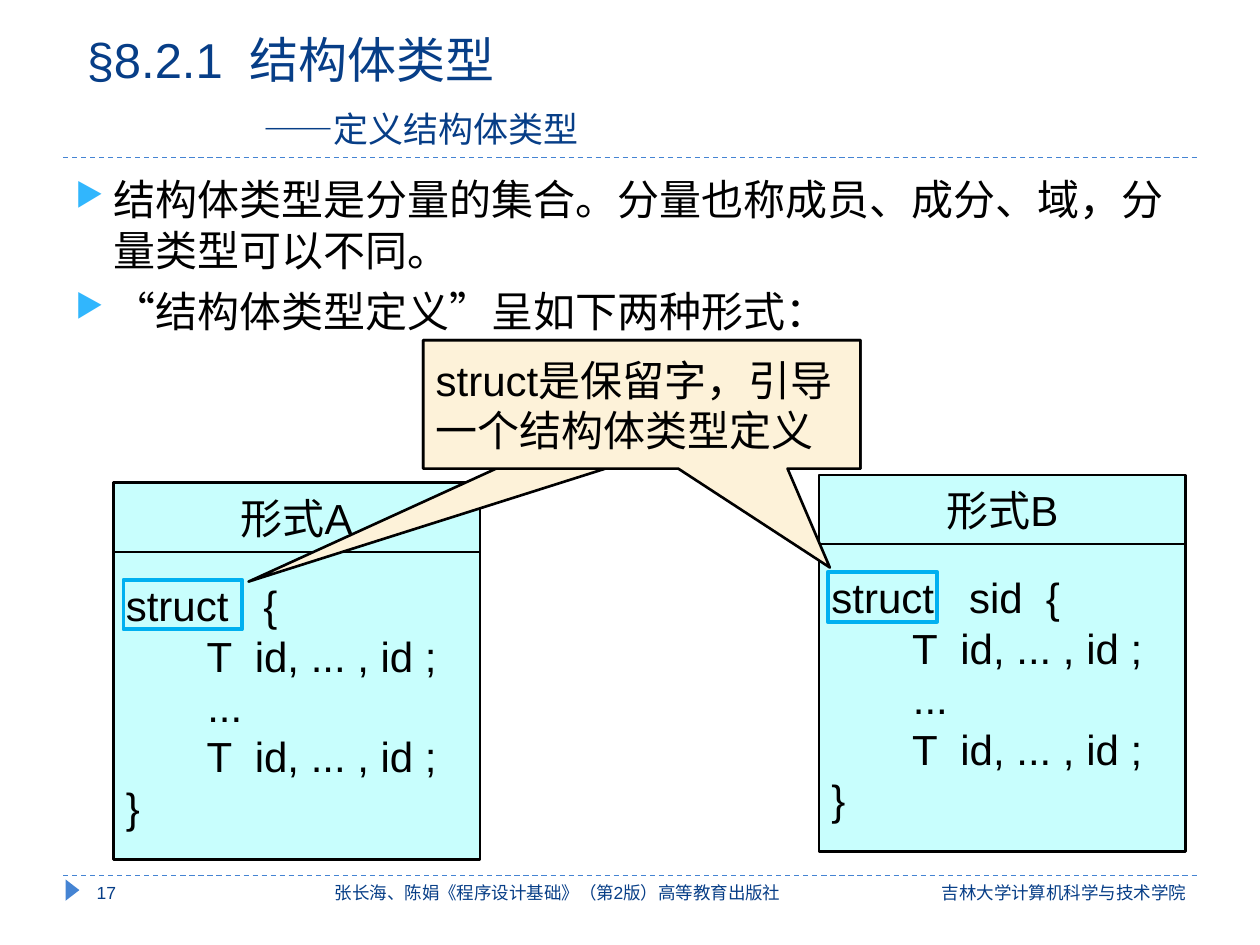
from dataclasses import dataclass

from lxml import etree
from pptx import Presentation
from pptx import util as u
from pptx.dml.color import RGBColor
from pptx.enum import dml, shapes, text
from pptx.oxml.ns import qn

NAVY = RGBColor(0x07, 0x3E, 0x87)
BLUE = RGBColor(0x45, 0x84, 0xD3)
SKY = RGBColor(0x31, 0xB6, 0xFD)
CYAN = RGBColor(0x00, 0xB0, 0xF0)
AQUA = RGBColor(0xC8, 0xFE, 0xFD)
CREAM = RGBColor(0xFD, 0xF2, 0xD9)
BLACK = RGBColor(0, 0, 0)
RECTANGLE = shapes.MSO_SHAPE.RECTANGLE
CALLOUT = shapes.MSO_SHAPE.RECTANGULAR_CALLOUT
LEFT, CENTER, RIGHT = text.PP_ALIGN.LEFT, text.PP_ALIGN.CENTER, text.PP_ALIGN.RIGHT
TOP, MIDDLE, BOTTOM = text.MSO_ANCHOR.TOP, text.MSO_ANCHOR.MIDDLE, text.MSO_ANCHOR.BOTTOM

FORM_WIDTH, HEADER_HEIGHT, BODY_HEIGHT = 209.5, 39.6, 175.7
CALLOUT_AREA = (241.9, 194.4, 249.8, 73.4)


@dataclass(frozen=True)
class Form:
    """One of the two ways to define a structure type."""
    heading: str
    opening: str
    left: float
    top: float
    keyword_left: float
    keyword_width: float


@dataclass(frozen=True)
class Footer:
    """A piece of footer text."""
    words: str
    left: float
    width: float
    align: text.PP_ALIGN


FORMS = (
    Form("形式B", "struct   sid  {", 468, 271.4, 473, 62.6),
    Form("形式A", "struct   {", 64.8, 275.8, 70.6, 67.7),
)
FOOTERS = (
    Footer("吉林大学计算机科学与技术学院", 507.6, 177.1, RIGHT),
    Footer("张长海、陈娟《程序设计基础》（第2版）高等教育出版社", 133.2, 370.8, CENTER),
    Footer("17", 48.2, 79.2, LEFT),
)
MEMBERS = ("       T  id, ... , id ;", "       ...", "       T  id, ... , id ;", "}")
POINTS = (
    "结构体类型是分量的集合。分量也称成员、成分、域，分量类型可以不同。",
    "“结构体类型定义”呈如下两种形式：",
)


def write(box, lines, size=24, color=BLACK, align=LEFT, anchor=MIDDLE,
          gap=0, bulleted=False) -> list:
    """Fill a box with paragraphs and return them."""
    frame = box.text_frame
    frame.word_wrap = True
    frame.vertical_anchor = anchor
    paras = []
    for index, line in enumerate(lines):
        para = frame.paragraphs[0] if index == 0 else frame.add_paragraph()
        para.alignment = align
        if index:
            para.space_before = u.Pt(gap)
        if bulleted:
            add_bullet(para)
        span = para.add_run()
        span.text = line
        span.font.name = "Arial"
        span.font.size = u.Pt(size)
        span.font.color.rgb = color
        paras.append(para)
    return paras


def add_bullet(para) -> None:
    """Give a paragraph a hanging triangular bullet."""
    props = para._p.get_or_add_pPr()
    props.set("marL", str(u.Pt(21.6)))
    props.set("indent", str(u.Pt(-21.6)))
    tint = etree.SubElement(props, qn("a:buClr"))
    etree.SubElement(tint, qn("a:srgbClr"), val=str(SKY))
    etree.SubElement(props, qn("a:buSzPct"), val="76000")
    etree.SubElement(props, qn("a:buChar"), char="▶")


def add_text(page, area: tuple, lines, **style) -> list:
    """Add a text box and return its paragraphs."""
    return write(page.shapes.add_textbox(*map(u.Pt, area)), lines, **style)


def add_box(page, kind, area: tuple, fill=None, line=None, width=1.5):
    """Add a flat preset shape."""
    box = page.shapes.add_shape(kind, *map(u.Pt, area))
    box.shadow.inherit = False
    if fill is None:
        box.fill.background()
    else:
        box.fill.solid()
        box.fill.fore_color.rgb = fill
    if line is None:
        box.line.fill.background()
    else:
        box.line.color.rgb = line
        box.line.width = u.Pt(width)
    return box


def add_rule(page, top: float) -> None:
    """Add a dashed line across the page."""
    rule = page.shapes.add_connector(
        shapes.MSO_CONNECTOR.STRAIGHT, u.Pt(36), u.Pt(top), u.Pt(684), u.Pt(top))
    rule.line.color.rgb = BLUE
    rule.line.width = u.Pt(0.75)
    rule.line.dash_style = dml.MSO_LINE.DASH
    etree.SubElement(rule._element.spPr, qn("a:effectLst"))


def add_form(page, form: Form) -> None:
    """Add a heading box above its code box, with the keyword framed."""
    body_top = form.top + HEADER_HEIGHT
    body = add_box(page, RECTANGLE, (form.left, body_top, FORM_WIDTH, BODY_HEIGHT), AQUA, BLACK)
    write(body, (form.opening, *MEMBERS))
    header = add_box(page, RECTANGLE, (form.left, form.top, FORM_WIDTH, HEADER_HEIGHT), AQUA, BLACK)
    write(header, (form.heading,), align=CENTER)
    add_box(page, RECTANGLE, (form.keyword_left, body_top + 15.9, form.keyword_width, 28.4),
            line=CYAN, width=2.25)


def add_callout(page, tip: tuple):
    """Add a callout whose tip is given as a share of its size."""
    callout = add_box(page, CALLOUT, CALLOUT_AREA, CREAM, BLACK)
    callout.adjustments[0], callout.adjustments[1] = tip
    return callout


def add_title(page) -> None:
    """Add the title with its indented second line."""
    heading, subtitle = add_text(
        page, (42.5, -2.2, 380.2, 91.4), ("§8.2.1  结构体类型", "——定义结构体类型"),
        size=28, color=NAVY, anchor=BOTTOM, gap=11)
    subtitle._p.get_or_add_pPr().set("marL", str(u.Pt(101)))
    subtitle.runs[0].font.size = u.Pt(20)


def main() -> None:
    """Build the slide and save it."""
    deck = Presentation()
    deck.slide_width, deck.slide_height = u.Pt(720), u.Pt(540)
    page = deck.slides.add_slide(deck.slide_layouts[6])
    for top in (500.4, 90):
        add_rule(page, top)
    marker = add_box(page, shapes.MSO_SHAPE.ISOSCELES_TRIANGLE, (35.3, 504.7, 12.2, 7.9), BLUE)
    marker.rotation = 90
    add_text(page, (36, 95.8, 648, 100), POINTS, anchor=TOP, gap=6, bulleted=True)
    for footer in FOOTERS:
        add_text(page, (footer.left, 500.4, footer.width, 28.8), (footer.words,),
                 size=10, color=NAVY, align=footer.align, anchor=TOP)
    for form in FORMS:
        add_form(page, form)
    add_callout(page, (-0.9, 1.38))
    front = add_callout(page, (0.43, 1.27))
    write(front, ("struct是保留字，引导一个结构体类型定义",))
    add_title(page)
    deck.save("out.pptx")


if __name__ == "__main__":
    main()
